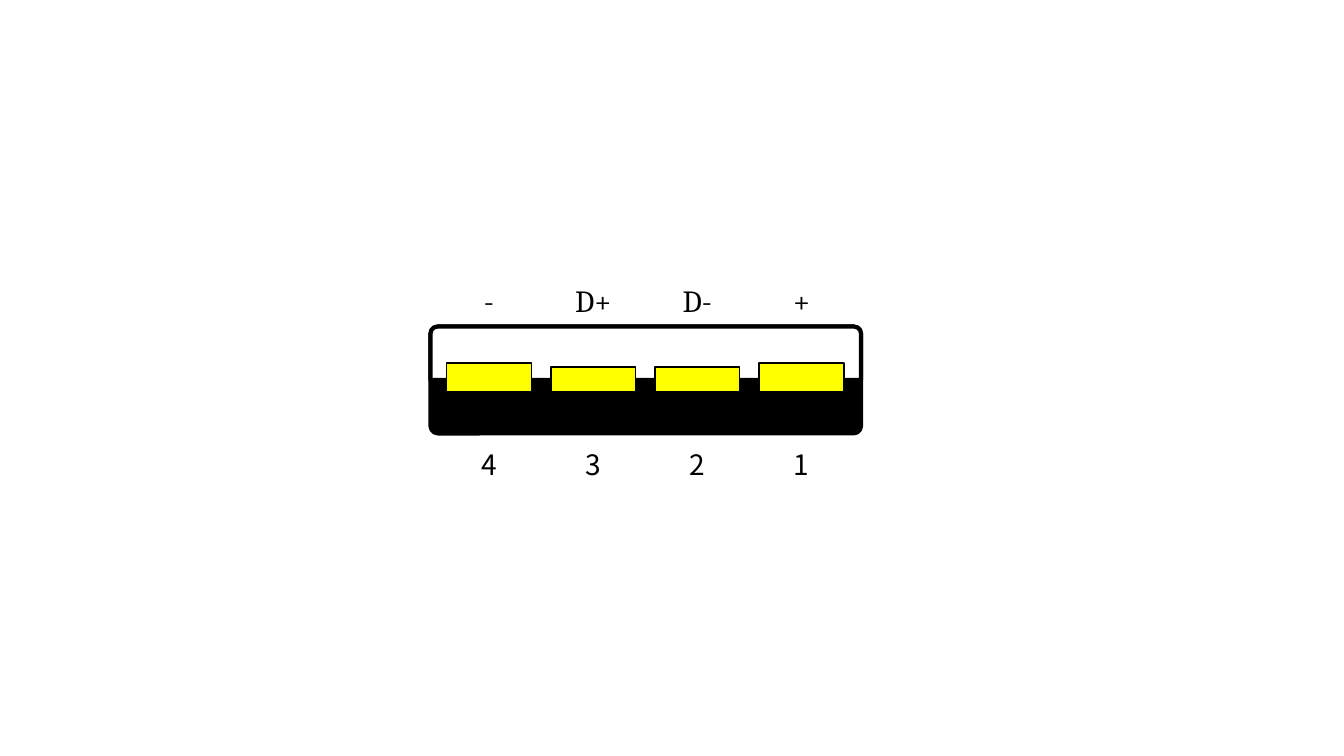
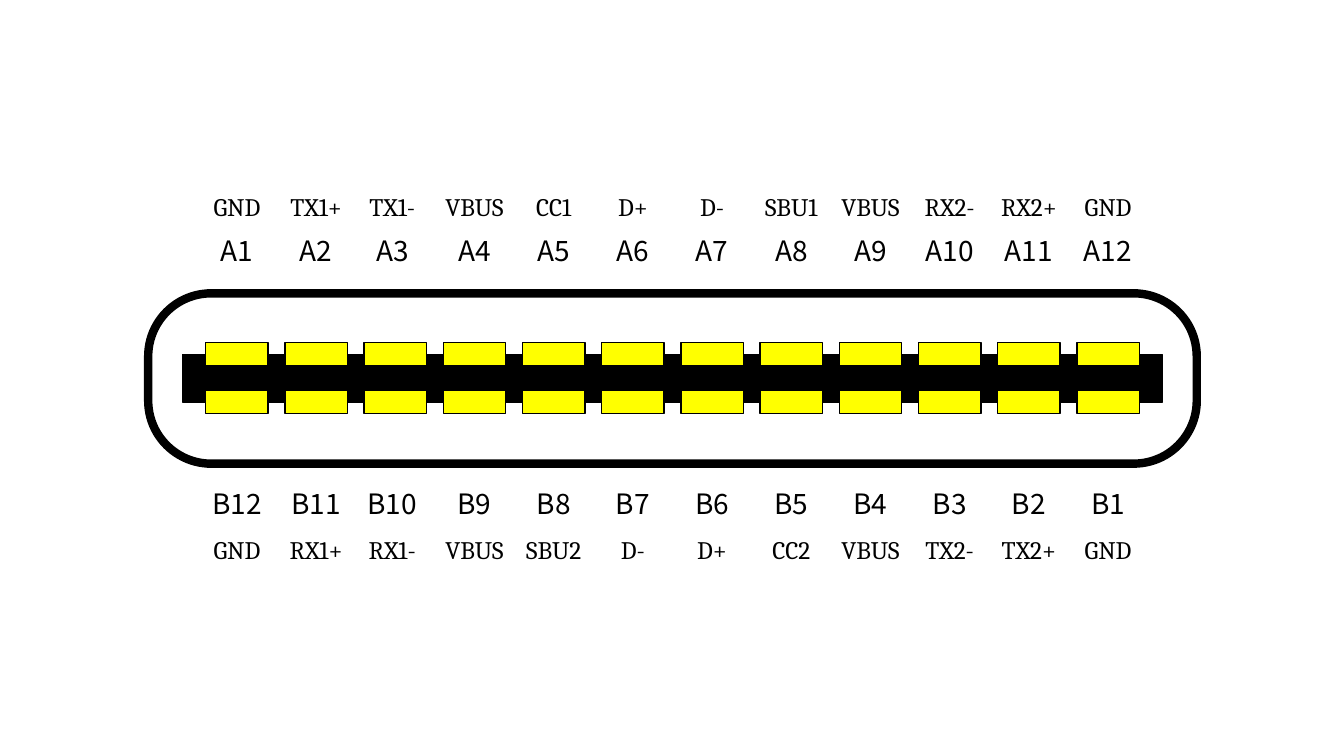
from dataclasses import dataclass

from pptx import Presentation
from pptx.dml.color import RGBColor
from pptx.enum.shapes import MSO_SHAPE
from pptx.enum.text import MSO_AUTO_SIZE, PP_ALIGN
from pptx.shapes.autoshape import Shape
from pptx.slide import Slide
from pptx.util import Inches, Pt

BLACK, WHITE, YELLOW = "000000", "FFFFFF", "FFFF00"
NUMBER_FONT, SIGNAL_FONT = "Noto Sans CJK SC", "Cambria"
BLANK_LAYOUT = 6


@dataclass(frozen=True)
class Box:
    """A rectangle in inches."""
    left: float
    top: float
    width: float
    height: float


@dataclass(frozen=True)
class Columns:
    """Evenly spaced contact columns, with an optional label shift by index."""
    first_center: float
    pitch: float
    shifts: tuple[tuple[int, float], ...] = ()

    def center(self, index: int) -> float:
        """Return the horizontal centre of a column."""
        return self.first_center + index * self.pitch

    def label_center(self, index: int) -> float:
        """Return the centre of a label, including its shift."""
        return self.center(index) + dict(self.shifts).get(index, 0)


@dataclass(frozen=True)
class LabelRow:
    """One row of labels, one label per column."""
    labels: list[str]
    top: float
    width: float
    height: float
    font: str
    size: float


@dataclass(frozen=True)
class PinRow:
    """One row of contacts that share a bottom edge."""
    heights: list[float]
    bottom: float
    width: float


def color(hex_code: str) -> RGBColor:
    """Turn a hex string into a colour."""
    return RGBColor.from_string(hex_code)


def add_block(page: Slide, kind: MSO_SHAPE, box: Box, fill: str,
              line_width: float = 1, adjustments: tuple[float, ...] = ()) -> Shape:
    """Draw a filled preset shape with a black outline."""
    block = page.shapes.add_shape(kind, Inches(box.left), Inches(box.top),
                                  Inches(box.width), Inches(box.height))
    block.shadow.inherit = False
    block.fill.solid()
    block.fill.fore_color.rgb = color(fill)
    block.line.color.rgb = color(BLACK)
    block.line.width = Pt(line_width)
    for index, value in enumerate(adjustments):
        block.adjustments[index] = value
    return block


def add_text(page: Slide, text: str, box: Box, *, font: str, size: float,
             fill: str = BLACK, align: PP_ALIGN = PP_ALIGN.CENTER) -> Shape:
    """Add a one-line text box."""
    label = page.shapes.add_textbox(Inches(box.left), Inches(box.top),
                                    Inches(box.width), Inches(box.height))
    frame = label.text_frame
    frame.word_wrap = True
    frame.auto_size = MSO_AUTO_SIZE.SHAPE_TO_FIT_TEXT
    frame.margin_left = frame.margin_right = Inches(0)
    para = frame.paragraphs[0]
    para.alignment = align
    span = para.add_run()
    span.text = text
    span.font.name = font
    span.font.size = Pt(size)
    span.font.color.rgb = color(fill)
    return label


def add_label_row(page: Slide, columns: Columns, row: LabelRow) -> None:
    """Centre each label of a row on its column."""
    for index, text in enumerate(row.labels):
        left = columns.label_center(index) - row.width / 2
        add_text(page, text, Box(left, row.top, row.width, row.height),
                 font=row.font, size=row.size)


def add_pin_row(page: Slide, columns: Columns, row: PinRow) -> None:
    """Draw the yellow contacts of a row."""
    for index, height in enumerate(row.heights):
        left = columns.center(index) - row.width / 2
        add_block(page, MSO_SHAPE.RECTANGLE,
                  Box(left, row.bottom - height, row.width, height), YELLOW)


def add_contacts(page: Slide, columns: Columns, pin_rows: list[PinRow],
                 label_rows: list[LabelRow]) -> None:
    """Draw all contacts of a connector and their labels."""
    for pin_row in pin_rows:
        add_pin_row(page, columns, pin_row)
    for label_row in label_rows:
        add_label_row(page, columns, label_row)


def build_type_a(page: Slide) -> None:
    """Draw the four-contact connector."""
    add_block(page, MSO_SHAPE.ROUNDED_RECTANGLE, Box(4.27, 3.24, 4.27, 1.06),
              BLACK, 3, (0.07,))
    add_block(page, MSO_SHAPE.ROUND_2_SAME_RECTANGLE, Box(4.27, 3.24, 4.27, 0.53),
              WHITE, 3, (0.13, 0))
    add_contacts(
        page, Columns(4.85, 3.1 / 3),
        [PinRow([0.29, 0.25, 0.25, 0.29], 3.89, 0.84)],
        [LabelRow(["4", "3", "2", "1"], 4.39, 0.47, 0.44, NUMBER_FONT, 20),
         LabelRow(["-", "D+", "D-", "+"], 2.75, 0.57, 0.47, SIGNAL_FONT, 22)])


def build_type_c(page: Slide) -> None:
    """Draw the connector with two rows of twelve contacts."""
    count = 12
    upper_signals = "GND TX1+ TX1- VBUS CC1 D+ D- SBU1 VBUS RX2- RX2+ GND".split()
    lower_signals = "GND RX1+ RX1- VBUS SBU2 D- D+ CC2 VBUS TX2- TX2+ GND".split()
    upper_numbers = [f"A{number}" for number in range(1, count + 1)]
    lower_numbers = [f"B{number}" for number in range(count, 0, -1)]
    add_block(page, MSO_SHAPE.ROUNDED_RECTANGLE, Box(1.47, 2.91, 10.4, 1.69),
              WHITE, 6, (0.37,))
    add_block(page, MSO_SHAPE.RECTANGLE, Box(1.81, 3.52, 9.72, 0.47), BLACK)
    pin_rows = [PinRow([0.23] * count, bottom, 0.62) for bottom in (3.63, 4.1)]
    label_rows = [LabelRow(labels, top, 0.69, 0.44, NUMBER_FONT, 20)
                  for labels, top in ((upper_numbers, 2.27), (lower_numbers, 4.78))]
    label_rows += [LabelRow(labels, top, 0.91, 0.4, SIGNAL_FONT, 18)
                   for labels, top in ((upper_signals, 1.85), (lower_signals, 5.25))]
    columns = Columns(2.35, 8.64 / (count - 1), shifts=((2, -0.03),))
    add_contacts(page, columns, pin_rows, label_rows)


def main() -> None:
    """Build and save the deck."""
    deck = Presentation()
    deck.slide_width, deck.slide_height = Inches(13.33), Inches(7.5)
    for build in (build_type_a, build_type_c):
        build(deck.slides.add_slide(deck.slide_layouts[BLANK_LAYOUT]))
    deck.save("out.pptx")


main()
